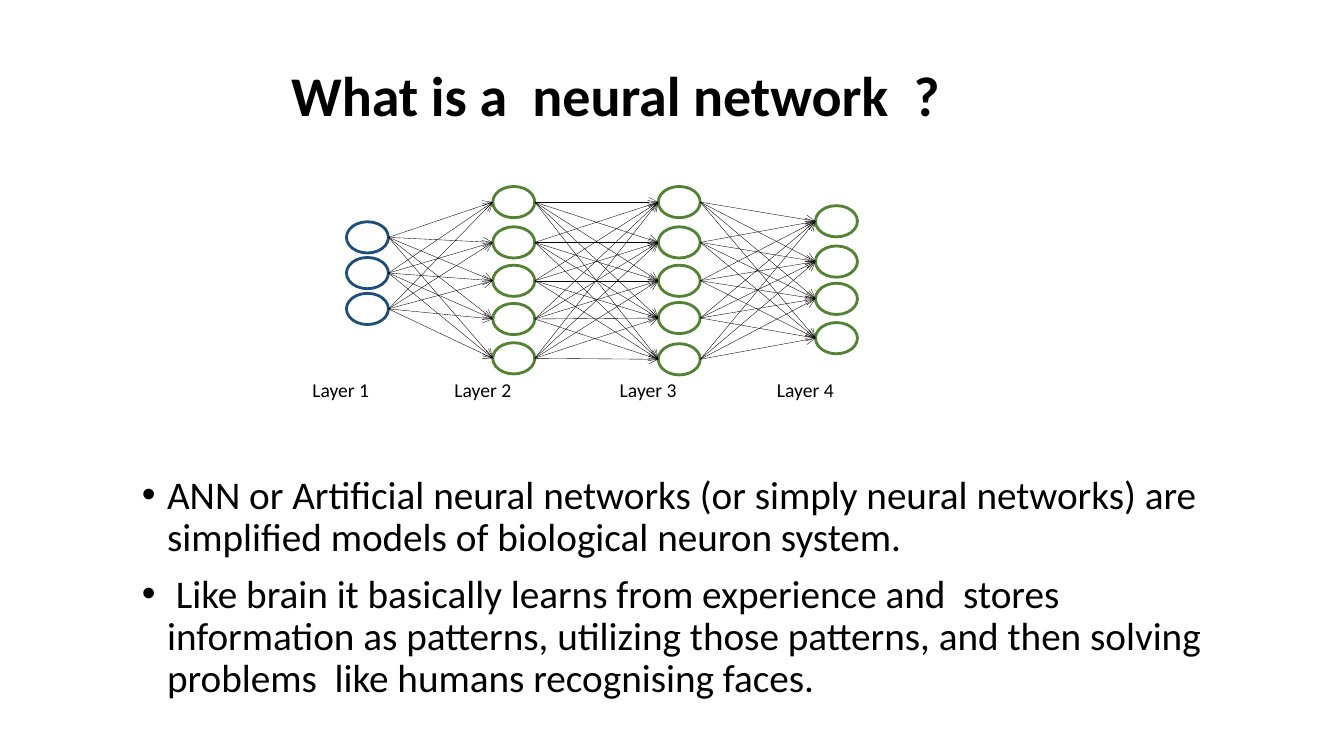
"""Build a slide that introduces neural networks with a four-layer diagram."""
from itertools import pairwise, product

from lxml import etree
from pptx import Presentation
from pptx import util as u
from pptx.dml.color import RGBColor
from pptx.enum import shapes, text
from pptx.oxml import ns

COLORS = {"text": "000000", "node": "FFFFFF", "input": "1F4E79", "neuron": "548235"}
NODE_WIDTH, NODE_HEIGHT = 30, 22.3
LABEL_TOP = 266.4
LAYERS = [
    ("Layer 1", 247.5, 216, "input", [158.4, 183.9, 209.5]),
    ("Layer 2", 352, 317.5, "neuron", [133.2, 162, 189.4, 216.7, 244.8]),
    ("Layer 3", 470.2, 435.6, "neuron", [133.2, 162, 189.4, 216, 245.5]),
    ("Layer 4", 582.5, 547.9, "neuron", [146.9, 175.7, 202.3, 230.4]),
]
BULLETS = [
    "ANN or Artificial neural networks (or simply neural networks) are "
    "simplified models of biological neuron system.",
    " Like brain it basically learns from experience and  stores\n"
    "information as patterns, utilizing those patterns, and then solving "
    "problems  like humans recognising faces.",
]


def add_text(parent, paragraphs, left, top, width, height, size, bold=False,
             anchor=text.MSO_ANCHOR.TOP, line_spacing=1.0, space_before=0, bullet=None):
    """Add a wrapped text box with one format for all paragraphs."""
    box = parent.add_textbox(u.Pt(left), u.Pt(top), u.Pt(width), u.Pt(height))
    frame = box.text_frame
    frame.word_wrap = True
    frame.vertical_anchor = anchor
    for index, content in enumerate(paragraphs):
        paragraph = frame.add_paragraph() if index else frame.paragraphs[0]
        paragraph.text = content
        paragraph.line_spacing = line_spacing
        paragraph.space_before = u.Pt(space_before)
        for run in paragraph.runs:
            run.font.name = "Calibri"
            run.font.size = u.Pt(size)
            run.font.bold = bold
            run.font.color.rgb = RGBColor.from_string(COLORS["text"])
        if bullet:
            properties = paragraph._p.get_or_add_pPr()
            properties.set("marL", str(u.Pt(18)))
            properties.set("indent", str(u.Pt(-18)))
            etree.SubElement(properties, ns.qn("a:buFont"), typeface="Arial")
            etree.SubElement(properties, ns.qn("a:buChar"), char=bullet)


presentation = Presentation()
presentation.slide_width = u.Pt(960)
presentation.slide_height = u.Pt(540)
slide = presentation.slides.add_slide(presentation.slide_layouts[6])

add_text(slide.shapes, ["What is a  neural network  ?"], 200.9, 18, 523.4, 104.4, size=40,
         bold=True, anchor=text.MSO_ANCHOR.MIDDLE, line_spacing=0.9)
add_text(slide.shapes, BULLETS, 94.3, 336.2, 828, 342.7, size=28, line_spacing=0.9,
         space_before=10, bullet="•")

network = slide.shapes.add_group_shape().shapes

for label, left, label_left, color, tops in LAYERS:
    add_text(network, [label], label_left, LABEL_TOP, 98.6, 27.4, size=14)
    for top in tops:
        node = network.add_shape(shapes.MSO_SHAPE.OVAL, u.Pt(left), u.Pt(top),
                                 u.Pt(NODE_WIDTH), u.Pt(NODE_HEIGHT))
        node.shadow.inherit = False
        node.fill.solid()
        node.fill.fore_color.rgb = RGBColor.from_string(COLORS["node"])
        node.line.color.rgb = RGBColor.from_string(COLORS[color])
        node.line.width = u.Pt(2)

for source, target in pairwise(LAYERS):
    for source_top, target_top in product(source[4], target[4]):
        arrow = network.add_connector(
            shapes.MSO_CONNECTOR.STRAIGHT,
            u.Pt(source[1] + NODE_WIDTH), u.Pt(source_top + NODE_HEIGHT / 2),
            u.Pt(target[1]), u.Pt(target_top + NODE_HEIGHT / 2))
        arrow.line.color.rgb = RGBColor.from_string(COLORS["text"])
        arrow.line.width = u.Pt(0.25)
        etree.SubElement(arrow.line._get_or_add_ln(), ns.qn("a:tailEnd"), type="arrow")
        etree.SubElement(arrow._element.spPr, ns.qn("a:effectLst"))

presentation.save("out.pptx")
